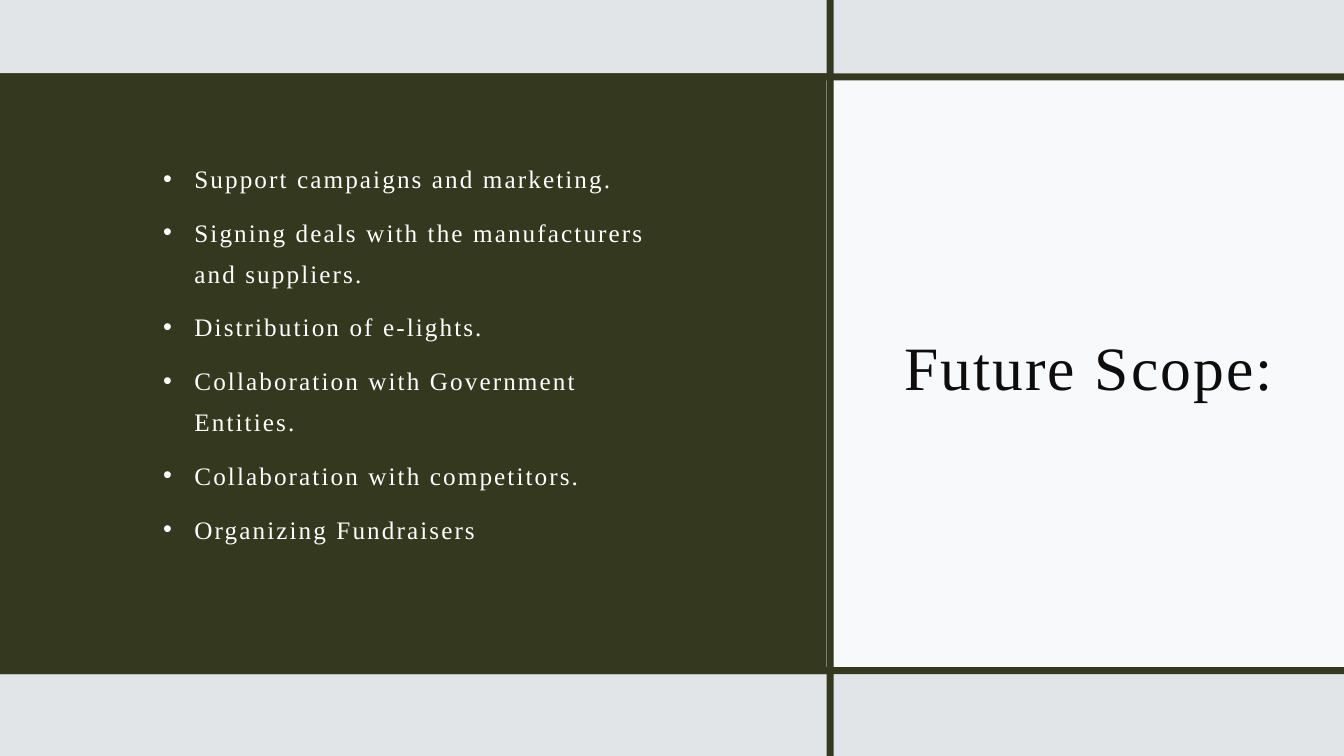
from lxml.etree import SubElement
from pptx import Presentation
from pptx.dml.color import RGBColor
from pptx.enum.shapes import MSO_SHAPE
from pptx.enum.text import MSO_ANCHOR, PP_ALIGN
from pptx.oxml.ns import qn
from pptx.util import Cm, Pt

OLIVE = RGBColor(0x34, 0x38, 0x1F)
MIST = RGBColor(0xE2, 0xE5, 0xE8)
PALE = RGBColor(0xF8, 0xF9, 0xFA)
WHITE = RGBColor(0xFF, 0xFF, 0xFF)
INK = RGBColor(0x0D, 0x0D, 0x0D)

SLIDE_W, SLIDE_H = 33.87, 19.05
BAND_TOP, BAND_H = 1.85, 15.14
SPLIT = 21.01  # left edge of the title panel
BAR = 0.18

GOALS = [
    "Support campaigns and marketing.",
    "Signing deals with the manufacturers and suppliers.",
    "Distribution of e-lights.",
    "Collaboration with Government Entities.",
    "Collaboration with competitors.",
    "Organizing Fundraisers",
]


def add_rect(s, x, y, w, h, color):
    sp = s.shapes.add_shape(MSO_SHAPE.RECTANGLE, Cm(x), Cm(y), Cm(w), Cm(h))
    sp.shadow.inherit = False
    sp.fill.solid()
    sp.fill.fore_color.rgb = color
    sp.line.fill.background()


def add_text(s, x, y, w, h, anchor):
    tf = s.shapes.add_textbox(Cm(x), Cm(y), Cm(w), Cm(h)).text_frame
    tf.word_wrap = True
    tf.vertical_anchor = anchor
    tf.margin_left = tf.margin_right = tf.margin_top = Cm(0.3)
    tf.margin_bottom = Cm(0.25)
    return tf


def format_runs(p, size, color):
    for r in p.runs:
        r.font.name = "Times New Roman"
        r.font.size = Pt(size)
        r.font.color.rgb = color
        r._r.get_or_add_rPr().set("spc", "150")


def add_bullet(p):
    pPr = p._p.get_or_add_pPr()
    pPr.set("marL", str(Cm(0.79)))
    pPr.set("indent", str(Cm(-0.79)))
    SubElement(pPr, qn("a:buFont")).set("typeface", "Arial")
    SubElement(pPr, qn("a:buChar")).set("char", "•")


def goals_panel(s, x, y, w, h):
    add_rect(s, x, y, w, h, OLIVE)
    tf = add_text(s, x + 3.81, y + 1.76, 13.18, 10.29, MSO_ANCHOR.MIDDLE)
    for i, goal in enumerate(GOALS):
        p = tf.paragraphs[0] if i == 0 else tf.add_paragraph()
        p.text = goal
        add_bullet(p)
        p.line_spacing = 1.35
        if i:
            p.space_before = Pt(9.3)
        format_runs(p, 18, WHITE)


def title_panel(s, x, y, w, h):
    add_rect(s, x, y, w, h, PALE)
    tf = add_text(s, x + 0.66, y + 5.24, w - 1.32, 3.3, MSO_ANCHOR.BOTTOM)
    p = tf.paragraphs[0]
    p.text = "Future Scope:"
    p.alignment = PP_ALIGN.CENTER
    p.line_spacing = 1.4
    format_runs(p, 44, INK)


def frame_bars(s, x, y, w, h):
    # Upright bar across the slide, level bars along the band's edges
    add_rect(s, SPLIT - BAR, 0, BAR, SLIDE_H, OLIVE)
    for top in (y, y + h - BAR):
        add_rect(s, x, top, w, BAR, OLIVE)


def main():
    prs = Presentation()
    prs.slide_width, prs.slide_height = Cm(SLIDE_W), Cm(SLIDE_H)
    s = prs.slides.add_slide(prs.slide_layouts[6])

    # Background
    s.background.fill.solid()
    s.background.fill.fore_color.rgb = MIST

    # Band with goals on the left and title on the right
    goals_panel(s, 0, BAND_TOP, SPLIT - BAR, BAND_H)
    title_panel(s, SPLIT, BAND_TOP, SLIDE_W - SPLIT, BAND_H)
    frame_bars(s, 0, BAND_TOP, SLIDE_W, BAND_H)

    prs.save("out.pptx")


if __name__ == "__main__":
    main()
